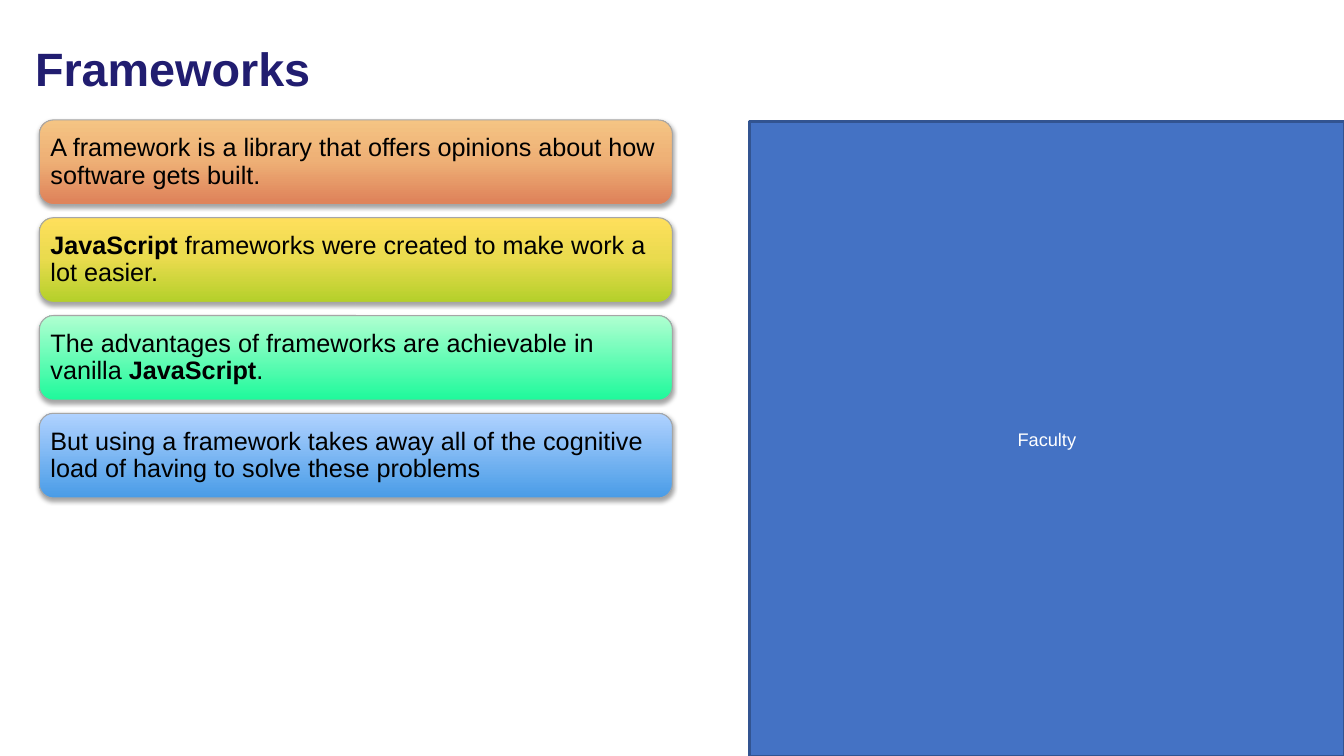
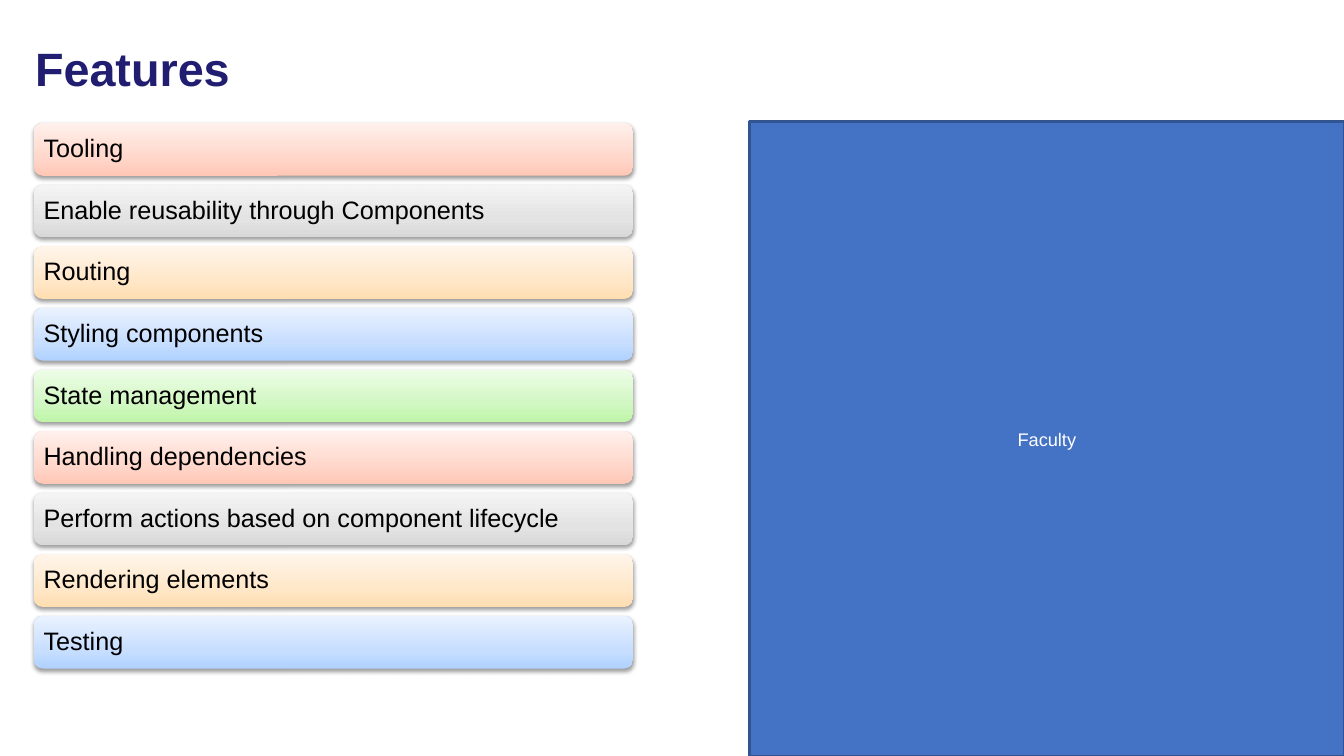
from pptx import Presentation
from pptx.dml.color import RGBColor
from pptx.enum.shapes import MSO_SHAPE as Shape
from pptx.enum.text import MSO_ANCHOR as Anchor, PP_ALIGN as Align
from pptx.oxml import parse_xml
from pptx.oxml.ns import nsdecls, qn
from pptx.util import Pt

COLORS = {
    "title": "211D70",
    "panel": "4472C4",
    "panel_line": "325491",
    "panel_text": "FFFFFF",
    "text": "000000",
    "bar_line": "A6A6A6",
    "shadow": "000000",
}

# Gradients run from bottom to top: (position in percent, colour)
GRADIENTS = {
    "copper": [(4, "DF845B"), (52, "EEB076"), (100, "F5C483")],
    "yellow": [(0, "B4D02A"), (53, "EADB4E"), (100, "FEDF5C")],
    "mint": [(0, "1EF99B"), (100, "B0FFD1")],
    "sky": [(0, "499CE7"), (100, "B0D2FF")],
    "rose": [(0, "FFC7B6"), (35, "FFD7CB"), (100, "FFF0EB")],
    "grey": [(0, "D8D8D8"), (35, "E3E3E3"), (100, "F4F4F4")],
    "peach": [(0, "FFDEB1"), (35, "FFE7C8"), (100, "FFF5EA")],
    "blue": [(0, "B0D2FF"), (35, "C7DEFF"), (100, "EAF2FF")],
    "green": [(0, "BEF5A7"), (35, "D1F7C2"), (100, "EDFDE7")],
}

# Each bar text is a list of (words, bold) spans
SLIDES = [
    {
        "title": "Frameworks",
        "left": 28.1, "top": 85.7, "width": 452.2, "height": 60.5, "step": 69.85,
        "outlined": True, "shadow": {"alpha": 35, "distance": 1.8},
        "gradients": ["copper", "yellow", "mint", "sky"],
        "bars": [
            [("A framework is a library that offers opinions about how software gets built. ", False)],
            [("JavaScript", True),
             (" frameworks were created to make work a lot easier.", False)],
            [("The advantages of frameworks are achievable in vanilla ", False),
             ("JavaScript", True), (".", False)],
            [("But using a framework takes away all of the cognitive load "
              "of having to solve these problems", False)],
        ],
    },
    {
        "title": "Features",
        "left": 24.3, "top": 88, "width": 427.9, "height": 37.6, "step": 44,
        "outlined": False, "shadow": {"alpha": 38, "distance": 1.6},
        "gradients": ["rose", "grey", "peach", "blue", "green"],
        "bars": [[(words, False)] for words in (
            "Tooling",
            "Enable reusability through Components",
            "Routing",
            "Styling components",
            "State management",
            "Handling dependencies",
            "Perform actions based on component lifecycle",
            "Rendering elements",
            "Testing",
        )],
    },
]


def write(box, spans, size, color, inset, align=Align.LEFT, spacing=0.9):
    """Fill a box with one paragraph of (words, bold) spans."""
    frame = box.text_frame
    frame_format = {
        "word_wrap": True, "vertical_anchor": Anchor.MIDDLE,
        "margin_left": Pt(inset[0]), "margin_right": Pt(inset[0]),
        "margin_top": Pt(inset[1]), "margin_bottom": Pt(inset[1]),
    }
    for name, value in frame_format.items():
        setattr(frame, name, value)
    para = frame.paragraphs[0]
    para.alignment = align
    para.line_spacing = spacing
    for words, bold in spans:
        span = para.add_run()
        span.text = words
        for name, value in {"name": "Arial", "size": Pt(size), "bold": bold}.items():
            setattr(span.font, name, value)
        span.font.color.rgb = RGBColor.from_string(COLORS[color])


def shade(box, stops, shadow):
    """Give a box a vertical gradient and a soft shadow below it."""
    box.fill.gradient()
    box.fill.gradient_angle = 90
    properties = box.element.spPr
    stop_list = properties.find(qn("a:gradFill")).find(qn("a:gsLst"))
    for stop in list(stop_list):
        stop_list.remove(stop)
    for position, color in stops:
        stop_list.append(parse_xml(
            f'<a:gs {nsdecls("a")} pos="{position * 1000}">'
            f'<a:srgbClr val="{color}"/></a:gs>'))
    box.shadow.inherit = False
    properties.find(qn("a:effectLst")).append(parse_xml(
        f'<a:outerShdw {nsdecls("a")} blurRad="{Pt(3.1)}" dist="{Pt(shadow["distance"])}"'
        f' dir="5400000" rotWithShape="0"><a:srgbClr val="{COLORS["shadow"]}">'
        f'<a:alpha val="{shadow["alpha"] * 1000}"/></a:srgbClr></a:outerShdw>'))


deck = Presentation()
deck.slide_width, deck.slide_height = Pt(960), Pt(540)

for content in SLIDES:
    page = deck.slides.add_slide(deck.slide_layouts[6])

    # Side panel
    panel = page.shapes.add_shape(Shape.RECTANGLE, Pt(535.5), Pt(87), Pt(424.5), Pt(453))
    panel.shadow.inherit = False
    panel.fill.solid()
    panel.fill.fore_color.rgb = RGBColor.from_string(COLORS["panel"])
    panel.line.color.rgb = RGBColor.from_string(COLORS["panel_line"])
    panel.line.width = Pt(2)
    write(panel, [("Faculty", False)], 13, "panel_text", (7.2, 3.6), Align.CENTER, 1.0)

    # Title
    title = page.shapes.add_textbox(Pt(18), Pt(18), Pt(850), Pt(65.5))
    write(title, [(content["title"], True)], 33.4, "title", (7.2, 3.6))

    # Stack of bars, cycling through the slide's gradients
    gradients = content["gradients"]
    for index, spans in enumerate(content["bars"]):
        bar = page.shapes.add_shape(
            Shape.ROUNDED_RECTANGLE, Pt(content["left"]),
            Pt(content["top"] + index * content["step"]),
            Pt(content["width"]), Pt(content["height"]))
        shade(bar, GRADIENTS[gradients[index % len(gradients)]], content["shadow"])
        if content["outlined"]:
            bar.line.color.rgb = RGBColor.from_string(COLORS["bar_line"])
            bar.line.width = Pt(0.75)
        else:
            bar.line.fill.background()
        write(bar, spans, 18, "text", (5, 5))

deck.save("out.pptx")
